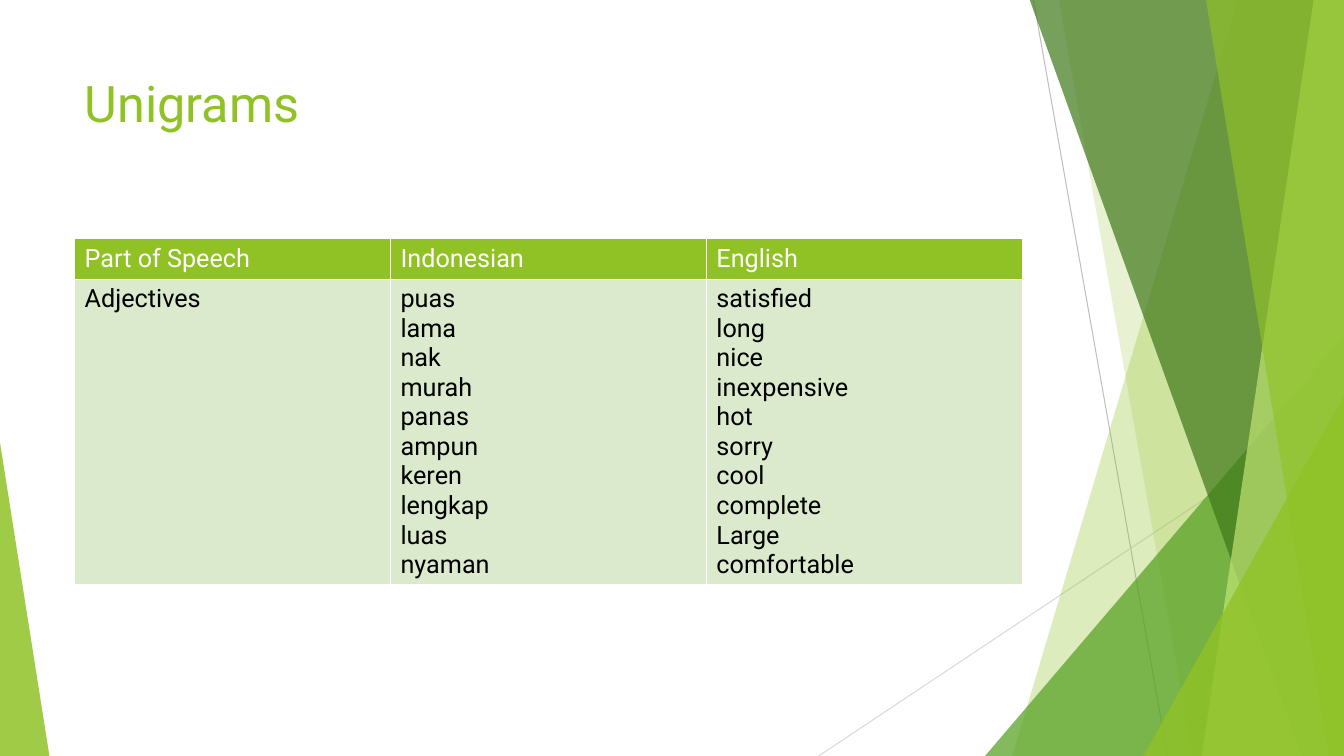
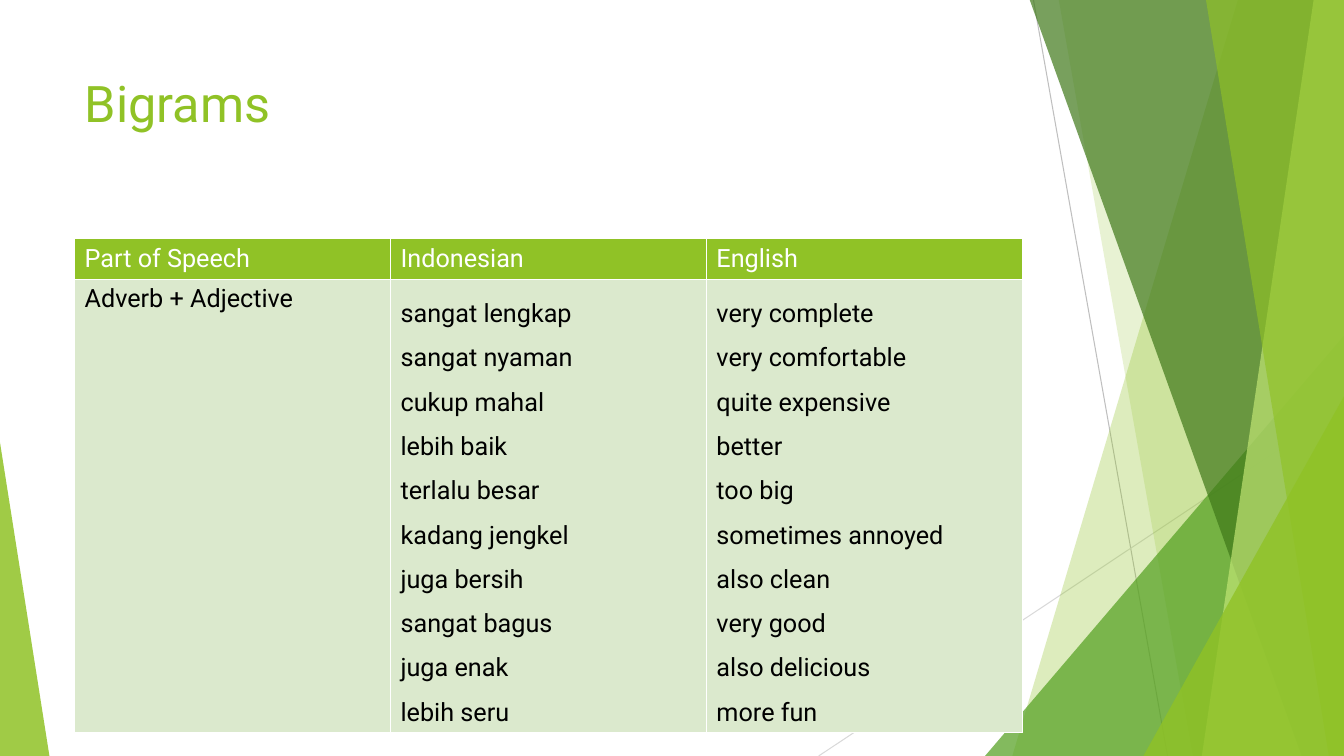
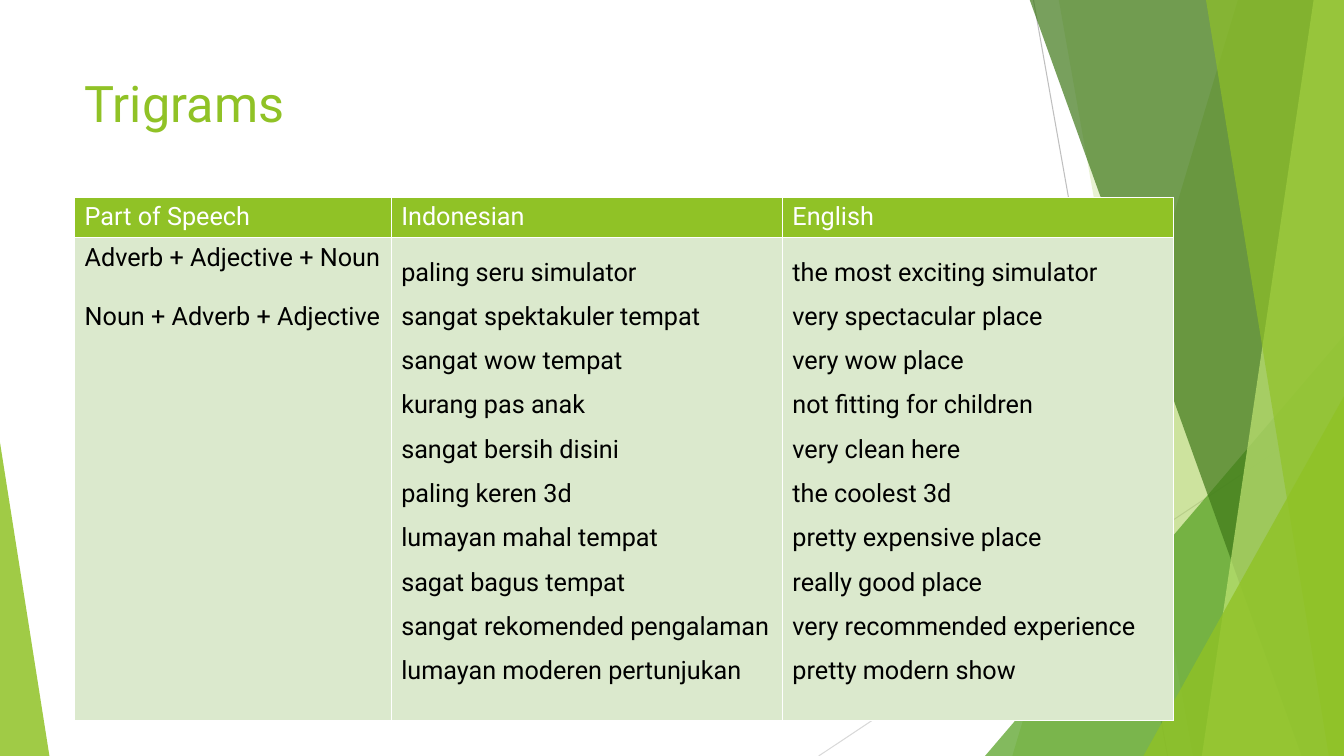
from dataclasses import dataclass

from lxml import etree
from pptx import Presentation
from pptx.dml.color import RGBColor
from pptx.enum import shapes, text
from pptx.oxml import ns
from pptx.util import Inches, Pt


@dataclass(frozen=True)
class Theme:
    font: str = "Roboto"
    title_size: int = 36
    table_size: int = 18
    lime: str = "90C226"
    pale_lime: str = "C0E474"
    green: str = "54A021"
    forest: str = "3F7819"
    mint: str = "DBE9CD"
    gray: str = "BFBFBF"
    light_gray: str = "D9D9D9"
    white: str = "FFFFFF"
    black: str = "000000"


THEME = Theme()
WIDTH, HEIGHT = 13.33, 7.5
MARGIN = 0.74
CONTENT_WIDTH = 9.4
HEADER_HEIGHT = 0.4
HEADERS = ("Part of Speech", "Indonesian", "English")


def style_paragraph(para, size, color):
    para.alignment = text.PP_ALIGN.LEFT
    para.font.name = THEME.font
    para.font.size = Pt(size)
    para.font.bold = False
    para.font.color.rgb = RGBColor.from_string(color)


def paint(shape, color, opacity):
    """Give a shape a see-through fill with no outline or shadow."""
    shape.shadow.inherit = False
    shape.line.fill.background()
    shape.fill.solid()
    shape.fill.fore_color.rgb = RGBColor.from_string(color)
    clr = shape.element.spPr.find(".//" + ns.qn("a:srgbClr"))
    etree.SubElement(clr, ns.qn("a:alpha"), val=str(opacity * 1000))
    return shape


def add_band(page, top_x, bottom_x, color, opacity):
    """Add a band that runs from a slanted left edge to the right of the slide."""
    top = -0.01
    corners = [(WIDTH, top), (WIDTH, HEIGHT), (bottom_x, HEIGHT)]
    builder = page.shapes.build_freeform(Inches(top_x), Inches(top))
    builder.add_line_segments([(Inches(x), Inches(y)) for x, y in corners])
    return paint(builder.convert_to_shape(), color, opacity)


def add_corner(page, left, top, width, apex, color, opacity):
    """Add a right triangle that stands on the bottom of the slide."""
    corner = page.shapes.add_shape(
        shapes.MSO_SHAPE.ISOSCELES_TRIANGLE,
        Inches(left), Inches(top), Inches(width), Inches(HEIGHT - top))
    corner.adjustments[0] = apex
    return paint(corner, color, opacity)


def add_hairline(page, start, end, color):
    ends = [Inches(value) for value in (*start, *end)]
    line = page.shapes.add_connector(shapes.MSO_CONNECTOR.STRAIGHT, *ends)
    line.line.color.rgb = RGBColor.from_string(color)
    line.line.width = Pt(0.75)
    etree.SubElement(line.element.spPr, ns.qn("a:effectLst"))
    return line


def decorate_layout(layout, page):
    """Draw the shared backdrop on a page, then move it to the layout."""
    for holder in list(layout.placeholders):
        if holder.placeholder_format.type != shapes.PP_PLACEHOLDER.TITLE:
            layout.shapes.element.remove(holder.element)
    backdrop = [
        add_hairline(page, (10.25, 0), (11.58, HEIGHT), THEME.gray),
        add_hairline(page, (WIDTH, 4.03), (8.12, HEIGHT), THEME.light_gray),
        add_band(page, 12.28, 10.04, THEME.lime, 30),
        add_band(page, 10.5, 11.83, THEME.lime, 20),
        add_corner(page, 9.77, 3.33, 3.56, 1, THEME.green, 72),
        add_band(page, 10.21, 12.91, THEME.forest, 70),
        add_band(page, 13.03, 11.92, THEME.pale_lime, 70),
        add_band(page, 11.96, 13.18, THEME.lime, 65),
        add_corner(page, 11.34, 3.93, 1.99, 1, THEME.lime, 80),
        add_corner(page, 0, 4.39, 0.49, 0, THEME.lime, 85),
    ]
    for shape in backdrop:
        layout.shapes.element.append(shape.element)


def set_title(page, words):
    title = page.shapes.title
    title.left, title.top = Inches(MARGIN), Inches(0.67)
    title.width, title.height = Inches(CONTENT_WIDTH), Inches(1.44)
    frame = title.text_frame
    frame.text = words
    frame.auto_size = text.MSO_AUTO_SIZE.NONE
    frame.vertical_anchor = text.MSO_ANCHOR.TOP
    style_paragraph(frame.paragraphs[0], THEME.title_size, THEME.lime)


def set_borders(cell):
    """Draw thin white lines on all four sides of a cell."""
    props = cell._tc.get_or_add_tcPr()
    for position, side in enumerate(("a:lnL", "a:lnR", "a:lnT", "a:lnB")):
        line = etree.Element(ns.qn(side), w=str(Pt(1)))
        fill = etree.SubElement(line, ns.qn("a:solidFill"))
        etree.SubElement(fill, ns.qn("a:srgbClr"), val=THEME.white)
        props.insert(position, line)


def fill_cell(cell, lines, fill, color, line_spacing=1.0, gap=0):
    cell.fill.solid()
    cell.fill.fore_color.rgb = RGBColor.from_string(fill)
    set_borders(cell)
    cell.text_frame.text = "\n".join(lines)
    for number, para in enumerate(cell.text_frame.paragraphs):
        para.line_spacing = line_spacing
        if number and gap:
            para.space_before = Pt(gap)
        style_paragraph(para, THEME.table_size, color)


def add_word_table(page, top, widths, body_height, speech, pairs, line_spacing):
    """Add a table with a header row and one tall row of word lists."""
    frame = page.shapes.add_table(
        2, len(widths), Inches(MARGIN), Inches(top),
        Inches(sum(widths)), Inches(HEADER_HEIGHT + body_height))
    table = frame.table
    table.horz_banding = False
    for row, height in zip(table.rows, (HEADER_HEIGHT, body_height)):
        row.height = Inches(height)
    indonesian, english = zip(*pairs)
    bodies = ((speech, 1.0, 21), (indonesian, line_spacing, 0),
              (english, line_spacing, 0))
    for index, (width, header, body) in enumerate(zip(widths, HEADERS, bodies)):
        table.columns[index].width = Inches(width)
        fill_cell(table.cell(0, index), [header], THEME.lime, THEME.white)
        lines, spacing, gap = body
        fill_cell(table.cell(1, index), lines, THEME.mint, THEME.black,
                  spacing, gap)


UNIGRAMS = (
    ("puas", "satisfied"),
    ("lama", "long"),
    ("nak", "nice"),
    ("murah", "inexpensive"),
    ("panas", "hot"),
    ("ampun", "sorry"),
    ("keren", "cool"),
    ("lengkap", "complete"),
    ("luas", "Large"),
    ("nyaman", "comfortable"),
)
BIGRAMS = (
    ("sangat lengkap", "very complete"),
    ("sangat nyaman", "very comfortable"),
    ("cukup mahal", "quite expensive"),
    ("lebih baik", "better"),
    ("terlalu besar", "too big"),
    ("kadang jengkel", "sometimes annoyed"),
    ("juga bersih", "also clean"),
    ("sangat bagus", "very good"),
    ("juga enak", "also delicious"),
    ("lebih seru", "more fun"),
)
TRIGRAMS = (
    ("paling seru simulator", "the most exciting simulator"),
    ("sangat spektakuler tempat", "very spectacular place"),
    ("sangat wow tempat", "very wow place"),
    ("kurang pas anak", "not fitting for children"),
    ("sangat bersih disini", "very clean here"),
    ("paling keren 3d", "the coolest 3d"),
    ("lumayan mahal tempat", "pretty expensive place"),
    ("sagat bagus tempat", "really good place"),
    ("sangat rekomended pengalaman", "very recommended experience"),
    ("lumayan moderen pertunjukan", "pretty modern show"),
)


def main():
    deck = Presentation()
    deck.slide_width, deck.slide_height = Inches(WIDTH), Inches(HEIGHT)
    layout = deck.slide_layouts.get_by_name("Title Only")
    even = (CONTENT_WIDTH / 3,) * 3
    wide = (3.14, 3.88, 3.88)
    tables = {
        "Unigrams": (2.37, even, 3.03, ["Adjectives"], UNIGRAMS, 1.0),
        "Bigrams": (2.37, even, 4.49, ["Adverb + Adjective"], BIGRAMS, 1.5),
        "Trigrams": (
            1.96, wide, 4.79,
            ["Adverb + Adjective + Noun", "Noun + Adverb + Adjective"],
            TRIGRAMS, 1.5),
    }
    pages = [deck.slides.add_slide(layout) for _ in tables]
    decorate_layout(layout, pages[0])
    for page, (title, table) in zip(pages, tables.items()):
        set_title(page, title)
        add_word_table(page, *table)
    deck.save("out.pptx")


if __name__ == "__main__":
    main()
